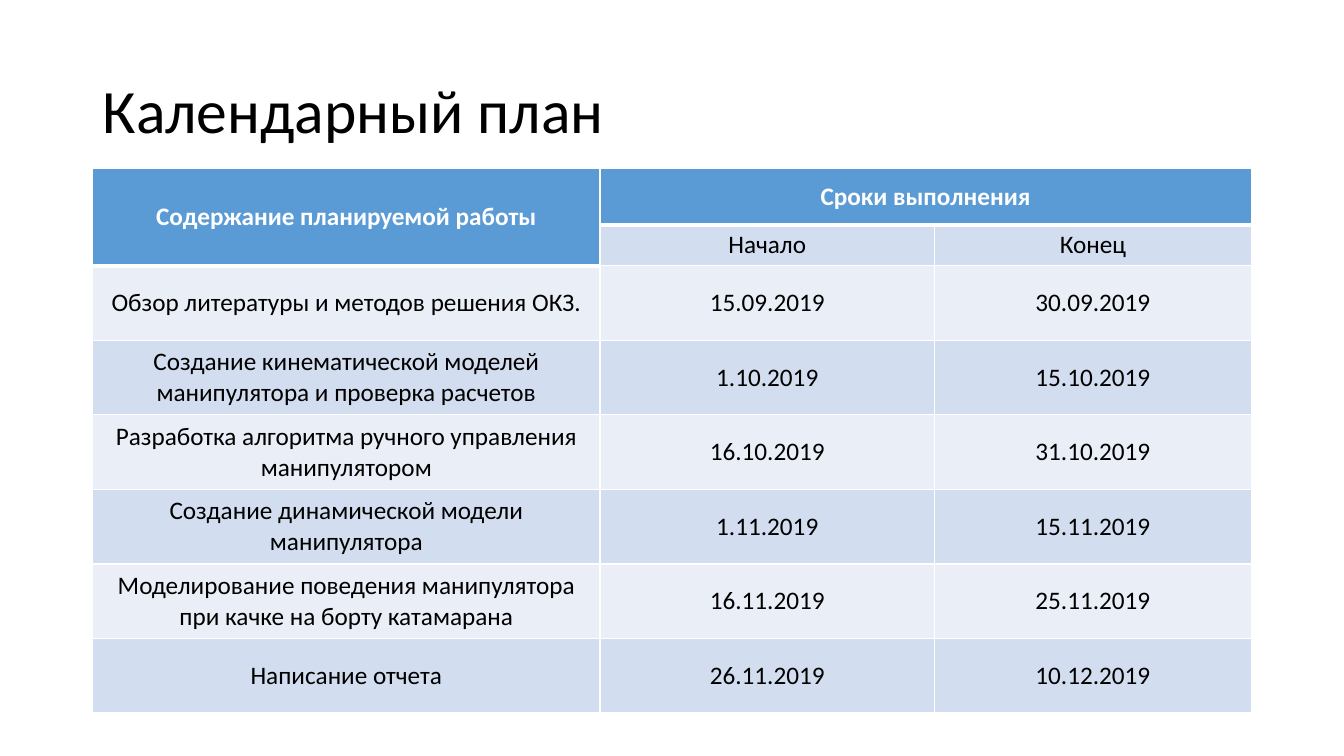
from dataclasses import dataclass

from lxml import etree
from pptx import Presentation
from pptx.dml.color import RGBColor
from pptx.enum.text import MSO_ANCHOR, PP_ALIGN
from pptx.oxml.ns import qn
from pptx.util import Inches, Pt

MIDDLE = MSO_ANCHOR.MIDDLE
LEFT, CENTER = PP_ALIGN.LEFT, PP_ALIGN.CENTER
TITLE_ONLY = 5


@dataclass(frozen=True)
class Theme:
    font: str = "Calibri"
    ink: str = "000000"
    paper: str = "FFFFFF"
    head: str = "5B9BD5"
    bands: tuple = ("EAEFF7", "D2DEEF")
    title: int = 44
    body: int = 18
    thin: int = 1
    thick: int = 3


COLS = [5.03, 3.32, 3.14]
ROWS = [0.56, 0.4] + [0.74] * 6
PLAN = [
    ("Содержание планируемой работы", "Сроки выполнения", ""),
    ("", "Начало", "Конец"),
    ("Обзор литературы и методов решения ОКЗ.", "15.09.2019", "30.09.2019"),
    ("Создание кинематической моделей манипулятора и проверка расчетов",
     "1.10.2019", "15.10.2019"),
    ("Разработка алгоритма ручного управления манипулятором",
     "16.10.2019", "31.10.2019"),
    ("Создание динамической модели манипулятора", "1.11.2019", "15.11.2019"),
    ("Моделирование поведения манипулятора при качке на борту катамарана",
     "16.11.2019", "25.11.2019"),
    ("Написание отчета", "26.11.2019", "10.12.2019"),
]


def is_head(row, col):
    """The header fills the top row and, in the first column, the next one."""
    return row == 0 or (row == 1 and col == 0)


class Deck:
    def __init__(self, theme):
        self.theme = theme
        self.prs = Presentation()
        self.prs.slide_width = Inches(13.33)
        self.prs.slide_height = Inches(7.5)
        self.slide = self.prs.slides.add_slide(
            self.prs.slide_layouts[TITLE_ONLY])

    def text(self, frame, words, size, color, align, bold=False):
        para = frame.paragraphs[0]
        para.alignment = align
        run = para.add_run()
        run.text = words
        font = run.font
        font.name, font.size, font.bold = self.theme.font, Pt(size), bold
        font.color.rgb = RGBColor.from_string(color)
        return para

    def title(self, words, left, top, width, height):
        shape = self.slide.shapes.title
        shape.left, shape.top = Inches(left), Inches(top)
        shape.width, shape.height = Inches(width), Inches(height)
        frame = shape.text_frame
        frame.vertical_anchor = MIDDLE
        frame.word_wrap = True
        para = self.text(frame, words, self.theme.title, self.theme.ink, LEFT)
        para.line_spacing = 0.9

    def edge(self, cell, top, bottom):
        """Draw the four cell borders; side borders are always thin."""
        thin = self.theme.thin
        sides = {"L": thin, "R": thin, "T": top, "B": bottom}
        props = cell._tc.get_or_add_tcPr()
        for spot, (side, width) in enumerate(sides.items()):
            line = etree.Element(qn(f"a:ln{side}"), w=str(Pt(width)))
            fill = etree.SubElement(line, qn("a:solidFill"))
            etree.SubElement(fill, qn("a:srgbClr"), val=self.theme.paper)
            props.insert(spot, line)

    def cell(self, cell, words, row, col):
        theme = self.theme
        head = is_head(row, col)
        below = not head and is_head(row - 1, col)
        cell.fill.solid()
        cell.fill.fore_color.rgb = RGBColor.from_string(
            theme.head if head else theme.bands[row % 2])
        cell.vertical_anchor = MIDDLE
        self.edge(cell, theme.thick if below else theme.thin,
                  theme.thick if head else theme.thin)
        if words:
            self.text(cell.text_frame, words, theme.body,
                      theme.paper if head else theme.ink, CENTER, head)

    def table(self, data, left, top, cols, rows):
        table = self.slide.shapes.add_table(
            len(rows), len(cols), Inches(left), Inches(top),
            Inches(sum(cols)), Inches(sum(rows))).table
        for col, width in zip(table.columns, cols):
            col.width = Inches(width)
        for row, height in zip(table.rows, rows):
            row.height = Inches(height)
        for r, line in enumerate(data):
            for c, words in enumerate(line):
                self.cell(table.cell(r, c), words, r, c)
        return table


def main():
    deck = Deck(Theme())
    deck.title("Календарный план", 0.92, 0.4, 11.5, 1.45)
    table = deck.table(PLAN, 0.92, 1.67, COLS, ROWS)
    table.cell(0, 0).merge(table.cell(1, 0))
    table.cell(0, 1).merge(table.cell(0, 2))
    deck.prs.save("out.pptx")


if __name__ == "__main__":
    main()
